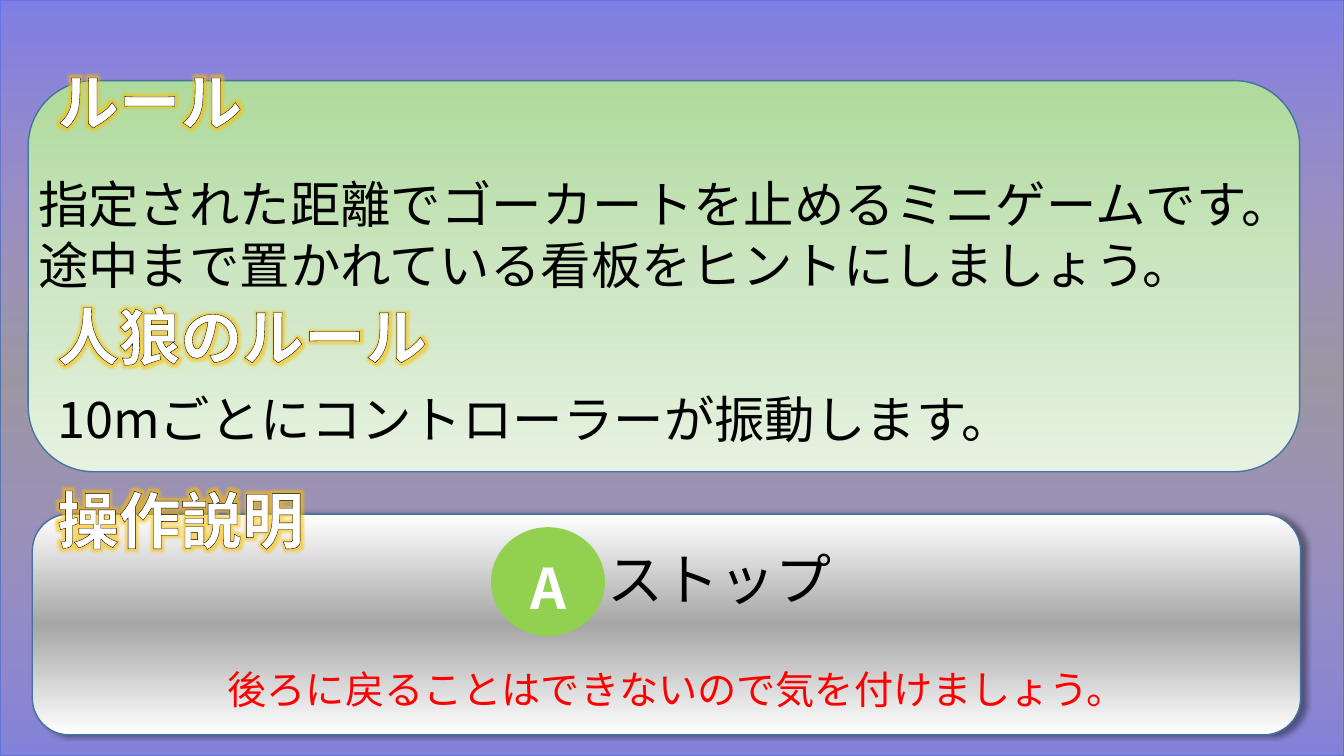
from pptx import Presentation
from pptx import util as u
from pptx.dml.color import RGBColor
from pptx.enum import shapes, text
from pptx.oxml import parse_xml
from pptx.oxml.ns import nsdecls

FONT = "Noto Sans CJK JP"
EDGE = "43739E"
LINE_HEIGHT = 1.2


def rgb(value):
    return RGBColor.from_string(value)


def element(tag, attributes="", inner=""):
    return parse_xml(f'<a:{tag} {nsdecls("a")} {attributes}>{inner}</a:{tag}>')


def color_xml(value, opacity=100):
    return f'<a:srgbClr val="{value}"><a:alpha val="{opacity * 1000}"/></a:srgbClr>'


def solid(value, opacity=100):
    return element("solidFill", inner=color_xml(value, opacity))


def gradient(angle, *stops):
    """Each stop is (position in percent, colour, optional opacity)."""
    marks = "".join(f'<a:gs pos="{position * 1000}">{color_xml(*color)}</a:gs>'
                    for position, *color in stops)
    return element("gradFill", 'rotWithShape="1"',
                   f'<a:gsLst>{marks}</a:gsLst><a:lin ang="{angle * 60000}" scaled="0"/>')


class Painter:
    """Holds the text style and the current slide."""

    def __init__(self, page):
        self.page = page
        self.target = page.shapes

    def start_group(self):
        self.target = self.page.shapes.add_group_shape().shapes

    def end_group(self):
        self.target = self.page.shapes

    def shape(self, kind, place, fill, edge=False, shadow=False):
        box = self.target.add_shape(kind, *map(u.Inches, place))
        box.shadow.inherit = False
        if edge:
            box.line.color.rgb = rgb(EDGE)
            box.line.width = u.Pt(1)
        else:
            box.line.fill.background()
        properties = box._element.spPr
        properties.insert(2, fill)
        if shadow:
            properties.find("{*}effectLst").append(element(
                "outerShdw", 'blurRad="50800" dist="38100" dir="0" rotWithShape="0"',
                color_xml("000000", 40)))
        return box

    def add_text(self, box, lines, size, color, bold=False, centered=False):
        frame = box.text_frame
        frame.word_wrap = True
        frame.margin_top, frame.margin_bottom = u.Inches(0.1), 0
        spans = []
        for number, line in enumerate(lines):
            para = frame.add_paragraph() if number else frame.paragraphs[0]
            para.line_spacing = u.Pt(size * LINE_HEIGHT)
            para.alignment = text.PP_ALIGN.CENTER if centered else text.PP_ALIGN.LEFT
            span = para.add_run()
            span.text = line
            span.font.size, span.font.bold = u.Pt(size), bold
            span.font.color.rgb = rgb(color)
            span.font.name = FONT
            span.font._element.append(element("ea", f'typeface="{FONT}"'))
            spans.append(span)
        return spans

    def label(self, place, lines, size, color="000000", bold=False):
        box = self.target.add_textbox(*map(u.Inches, place))
        return self.add_text(box, lines, size, color, bold)

    def heading(self, top, width, line):
        """White bold text with a thin outline and a golden glow."""
        for span in self.label((0.47, top, width, 0.84), [line], 44, "FFFFFF", True):
            properties = span.font._element
            outline = element("ln", 'w="28575"')
            outline.append(solid("000000"))
            properties.insert(0, outline)
            properties.insert(2, element(
                "effectLst",
                inner=f'<a:glow rad="101600">{color_xml("FFC000", 60)}</a:glow>'))


deck = Presentation()
deck.slide_width, deck.slide_height = u.Inches(13.33), u.Inches(7.5)
page = deck.slides.add_slide(deck.slide_layouts[6])
painter = Painter(page)
kinds = shapes.MSO_SHAPE

# Background: dark veil under a violet tint
whole = (0, 0, 13.33, 7.5)
painter.shape(kinds.RECTANGLE, whole, solid("000000", 40), edge=True)
painter.shape(kinds.RECTANGLE, whole, gradient(
    270, (0, "7575FF", 63), (50, "B685FF", 10), (100, "7575FF", 75)))

# Panels for rules and controls
painter.shape(kinds.ROUNDED_RECTANGLE, (0.28, 0.8, 12.61, 3.88), gradient(
    90, (0, "AEDA9B"), (50, "CDE6C2"), (100, "E6F2E1")), edge=True)
painter.shape(kinds.ROUNDED_RECTANGLE, (0.32, 5.1, 12.58, 2.19), gradient(
    270, (0, "FFFFFF"), (50, "A6A6A6"), (100, "FFFFFF")), edge=True, shadow=True)

# Rules
painter.label((0.28, 1.62, 12.44, 1.31),
              ["指定された距離でゴーカートを止めるミニゲームです。",
               "途中まで置かれている看板をヒントにしましょう。"], 36)
painter.label((0.47, 3.75, 12.44, 0.71), ["10mごとにコントローラーが振動します。"], 36)

# Controls: button with its action, then the warning
painter.start_group()
button = painter.shape(kinds.OVAL, (4.87, 5.23, 1.13, 1.08), solid("92D050"))
button.text_frame.vertical_anchor = text.MSO_ANCHOR.MIDDLE
painter.add_text(button, ["A"], 40, "FFFFFF", bold=True, centered=True)
painter.label((5.93, 5.3, 2.57, 0.77), ["ストップ"], 40)
painter.end_group()
painter.label((2.16, 6.5, 8.85, 0.57),
              ["後ろに戻ることはできないので気を付けましょう。"], 28, "FF0000")

# Headings
for top, width, line in ((0.53, 2.63, "ルール"),
                         (2.86, 3.95, "人狼のルール"),
                         (4.68, 3.07, "操作説明")):
    painter.heading(top, width, line)

deck.save("out.pptx")
